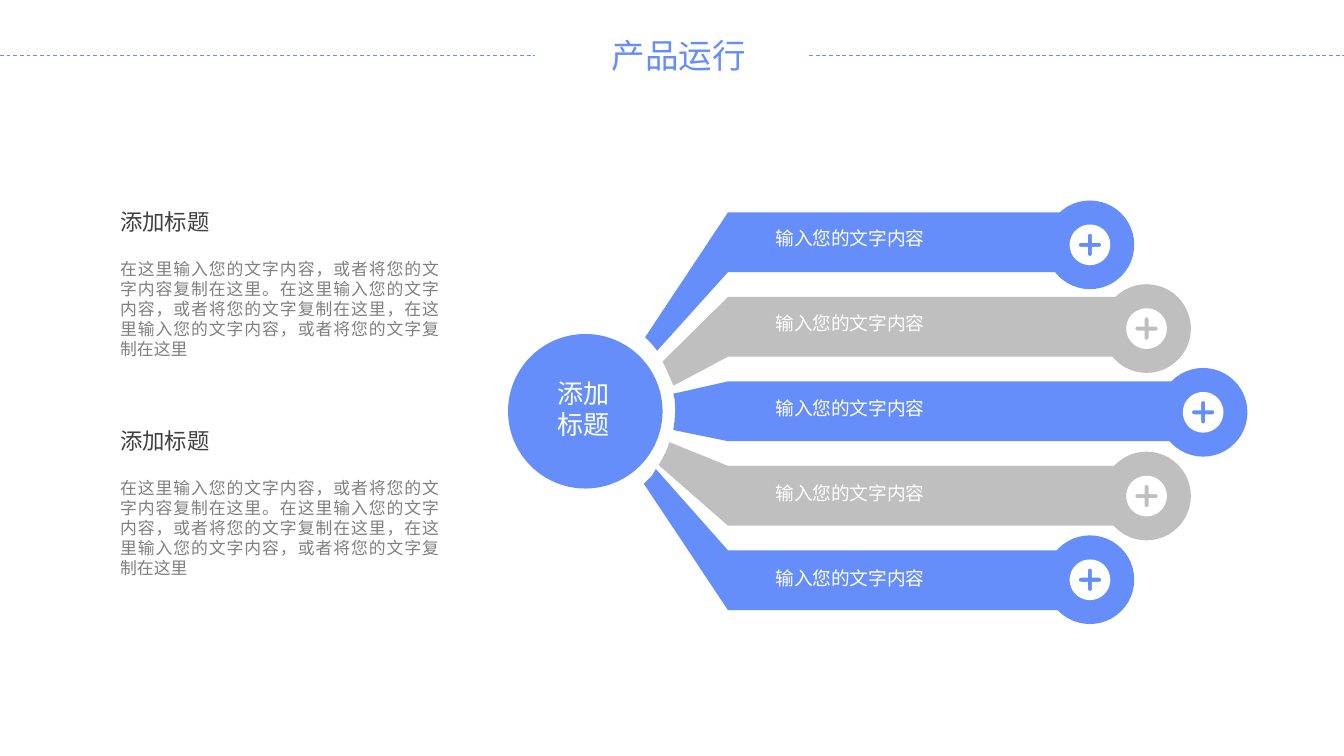
from math import cos, pi, sin

from lxml.etree import SubElement
from pptx import Presentation
from pptx.dml.color import RGBColor
from pptx.enum.dml import MSO_LINE
from pptx.enum.shapes import MSO_CONNECTOR, MSO_SHAPE
from pptx.enum.text import MSO_AUTO_SIZE, PP_ALIGN
from pptx.oxml.ns import qn
from pptx.util import Inches, Pt

# Grid: 100 columns by 56.25 rows of square cells
CELL = 0.1
COLS, ROWS = 100, 56.25
FONT = "Noto Sans CJK SC"
BLUE, GREY, WHITE = "658EFB", "BFBFBF", "FFFFFF"

BAR_LEFT, BAR_TOP, BAR_H, BAR_STEP = 54.17, 15.8, 4.45, 6.29
KNOB_LEFT, KNOB_TOP, KNOB_D = 77.8, 14.92, 6.6
KNOB_STEP_X, KNOB_STEP_Y = 4.21, 6.23
LABEL_TOP, LABEL_STEP = 16.5, 6.32

# Inner end of each branch, from its lower to its upper corner
FAN_ENDS = [
    [(48.9, 26.1), (48.5, 25.6), (48, 25.1)],
    [(50.1, 28.7), (49.9, 28.2), (49.6, 27.5), (49.3, 26.9)],
    [(50.1, 32), (50.2, 31.3), (50.25, 30.5), (50.2, 29.7), (50.1, 29.3)],
    [(49, 34.6), (49.3, 34.1), (49.6, 33.5), (49.8, 32.9)],
    [(47.9, 36), (48, 35.9), (48.5, 35.4), (48.8, 34.9)],
]

BODY = ("在这里输入您的文字内容，或者将您的文字内容复制在这里。"
        "在这里输入您的文字内容，或者将您的文字复制在这里，"
        "在这里输入您的文字内容，或者将您的文字复制在这里")


def cells(*values):
    return [Inches(v * CELL) for v in values]


def rgb(color):
    return RGBColor.from_string(color)


def paint(sp, color):
    sp.fill.solid()
    sp.fill.fore_color.rgb = rgb(color)
    sp.line.fill.background()
    sp.shadow.inherit = False


def add_preset(shapes, kind, box, color):
    paint(shapes.add_shape(kind, *cells(*box)), color)


def add_outline(shapes, contours, color):
    """Draw closed contours as one shape; an inner contour is a hole."""
    fb = None
    for contour in contours:
        points = [cells(*point) for point in contour]
        if fb is None:
            fb = shapes.build_freeform(*points[0])
        else:
            fb.move_to(*points[0])
        fb.add_line_segments(points[1:], close=True)
    paint(fb.convert_to_shape(), color)


def add_text(s, box, text, size, color, align=PP_ALIGN.LEFT, wrap=True):
    tf = s.shapes.add_textbox(*cells(*box)).text_frame
    tf.word_wrap = wrap
    tf.auto_size = MSO_AUTO_SIZE.SHAPE_TO_FIT_TEXT
    tf.margin_left = tf.margin_right = Inches(0.07)
    tf.margin_top = tf.margin_bottom = Inches(0.04)
    p = tf.paragraphs[0]
    p.alignment = align
    r = p.add_run()
    r.text = text
    r.font.size = Pt(size)
    r.font.name = FONT
    r.font.color.rgb = rgb(color)
    ea = SubElement(r._r.get_or_add_rPr(), qn("a:ea"))
    ea.set("typeface", FONT)


def add_dashed_line(s, x1, x2, y):
    line = s.shapes.add_connector(MSO_CONNECTOR.STRAIGHT, *cells(x1, y, x2, y))
    line.line.color.rgb = rgb(BLUE)
    line.line.width = Pt(0.5)
    line.line.dash_style = MSO_LINE.DASH
    SubElement(line._element.spPr, qn("a:effectLst"))


def arc(cx, cy, radius, start, sweep, steps):
    angles = [start + sweep * k / steps for k in range(steps + 1)]
    return [(cx + radius * cos(a), cy + radius * sin(a)) for a in angles]


def add_plus_icon(s, cx, cy):
    """White disc with a round-ended plus cut out."""
    radius, reach, half = 1.51, 0.68, 0.15
    disc = arc(cx, cy, radius, 0, 2 * pi, 72)[:-1]
    plus = []
    for k in range(4):
        a = -k * pi / 2
        plus += arc(cx + reach * cos(a), cy + reach * sin(a), half,
                    a + pi / 2, -pi, 8)
        plus.append((cx + half * 2 ** 0.5 * cos(a - pi / 4),
                     cy + half * 2 ** 0.5 * sin(a - pi / 4)))
    add_outline(s.shapes, [disc, plus], WHITE)


def knob_corner(i):
    return (KNOB_LEFT + KNOB_STEP_X * (2 - abs(i - 2)),
            KNOB_TOP + KNOB_STEP_Y * i)


def add_branch(s, i, fan_end):
    color = GREY if i % 2 else BLUE
    top = BAR_TOP + BAR_STEP * i
    x, y = knob_corner(i)
    shapes = s.shapes.add_group_shape().shapes
    add_preset(shapes, MSO_SHAPE.RECTANGLE,
               (BAR_LEFT, top, x + 3 - BAR_LEFT, BAR_H), color)
    joint = [(BAR_LEFT, top), (BAR_LEFT, top + BAR_H)]
    add_outline(shapes, [joint + fan_end], color)
    add_preset(shapes, MSO_SHAPE.OVAL, (x, y, KNOB_D, KNOB_D), color)


def main():
    prs = Presentation()
    prs.slide_width, prs.slide_height = cells(COLS, ROWS)
    s = prs.slides.add_slide(prs.slide_layouts[6])

    # Title between two dashed lines
    add_text(s, (44.8, 2.2, 11.6, 3.8), "产品运行", 18, BLUE, wrap=False)
    for x1, x2 in ((0, 39.8), (60.2, COLS)):
        add_dashed_line(s, x1, x2, 4.1)

    # Hub and its five branches
    add_preset(s.shapes, MSO_SHAPE.OVAL, (37.8, 24.85, 11.5, 11.5), BLUE)
    for i, fan_end in enumerate(FAN_ENDS):
        add_branch(s, i, fan_end)
    for i in range(len(FAN_ENDS)):
        x, y = knob_corner(i)
        add_plus_icon(s, x + KNOB_D / 2, y + KNOB_D / 2)

    # Left column of headed paragraphs
    for top in (15.1, 31.4):
        add_text(s, (8.24, top, 25.1, 2.8), "添加标题", 12, "404040")
        add_text(s, (8.24, top + 3.72, 25.1, 8.3), BODY, 9, "808080",
                 PP_ALIGN.JUSTIFY)

    # Branch labels and hub label
    for i in range(len(FAN_ENDS)):
        add_text(s, (57, LABEL_TOP + LABEL_STEP * i, 21.3, 2.4),
                 "输入您的文字内容", 10, WHITE)
    add_text(s, (40.15, 27.65, 6.6, 5.5), "添加标题", 14, WHITE,
             PP_ALIGN.CENTER)

    prs.save("out.pptx")


if __name__ == "__main__":
    main()
